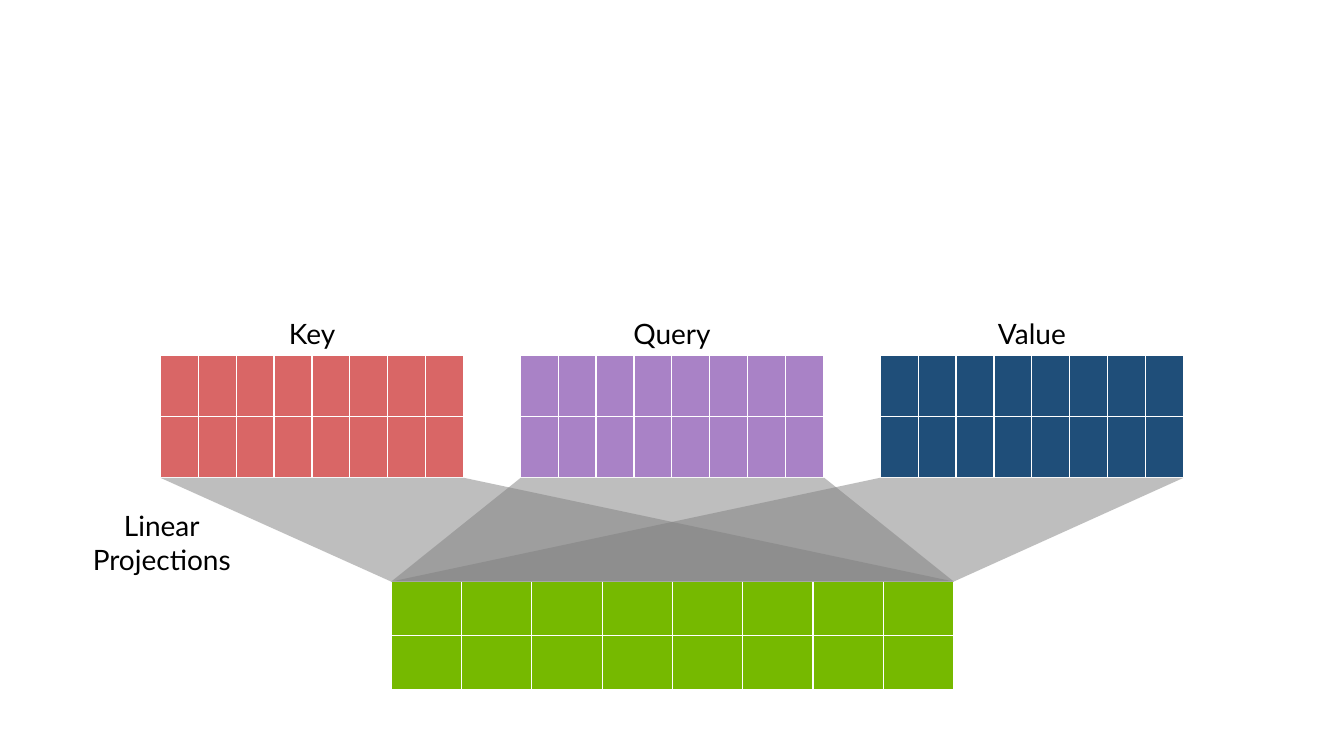
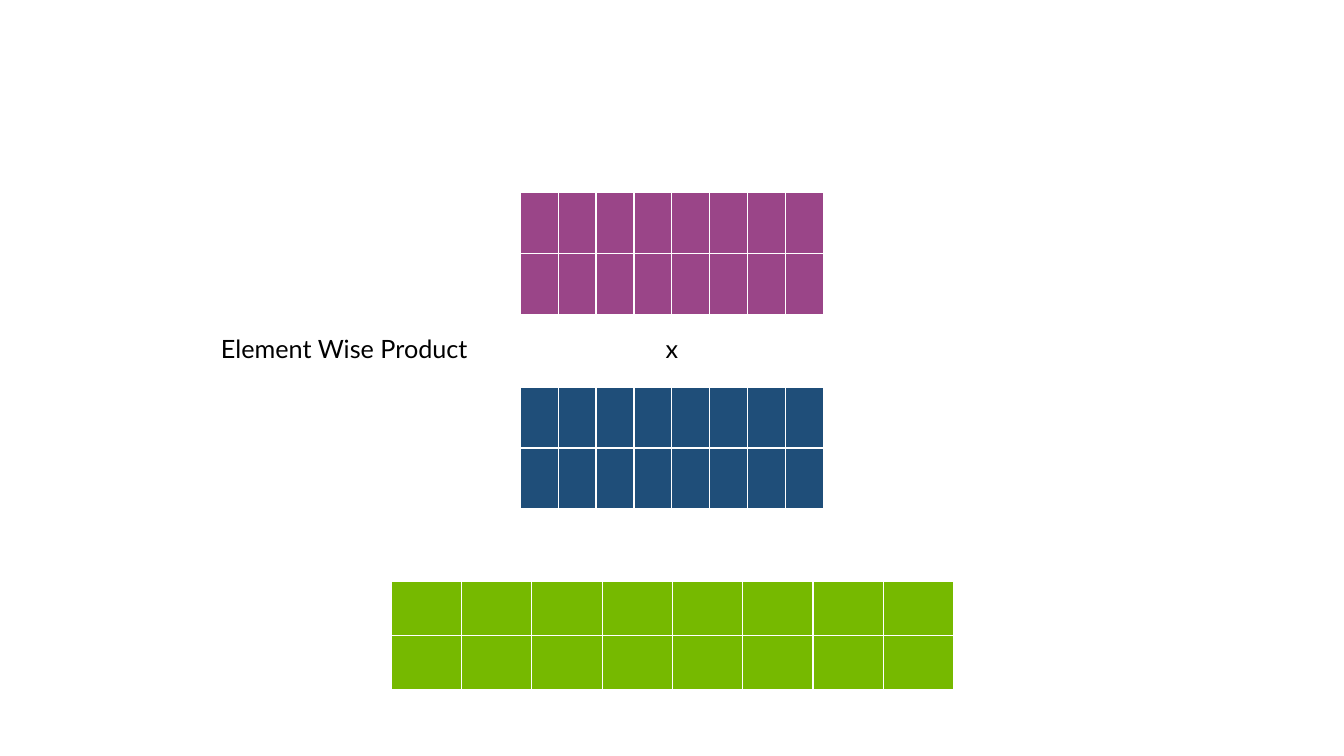
import dataclasses
from typing import Any

import lxml.etree
import pptx
import pptx.dml.color
import pptx.enum.shapes
import pptx.enum.text
import pptx.oxml.ns
import pptx.util

Inches = pptx.util.Inches
RGBColor = pptx.dml.color.RGBColor
qn = pptx.oxml.ns.qn

# Shared style
WHITE = RGBColor(0xFF, 0xFF, 0xFF)
BLACK = RGBColor(0x00, 0x00, 0x00)
GREEN = RGBColor(0x76, 0xB9, 0x00)
RED = RGBColor(0xC0, 0x00, 0x00)
PURPLE = RGBColor(0x70, 0x30, 0xA0)
NAVY = RGBColor(0x1F, 0x4E, 0x79)
GRAY = RGBColor(0x7F, 0x7F, 0x7F)
FONT = "Lato"
ROWS, COLUMNS = 2, 8
SOFT, HALF, SOLID = 60, 50, 100


@dataclasses.dataclass(frozen=True)
class Matrix:
    """A grid of equal cells; lengths in inches, opacity in percent."""
    left: float
    top: float
    color: RGBColor
    opacity: int = SOLID
    width: float = 3.01
    height: float = 1.21

    @property
    def right(self) -> float:
        return self.left + self.width

    @property
    def bottom(self) -> float:
        return self.top + self.height


@dataclasses.dataclass(frozen=True)
class Label:
    lines: tuple[str, ...]
    left: float
    top: float
    width: float
    height: float
    size: int
    wrap: bool = True


# Layout
MIDDLE_LEFT, COLUMN_STEP = 5.16, 3.57
PROJECTED_TOP = 3.53
LABEL_HEIGHT = 0.44
INPUT = Matrix(3.88, 5.77, GREEN, width=5.58, height=1.07)
KEY = Matrix(MIDDLE_LEFT - COLUMN_STEP, PROJECTED_TOP, RED, SOFT)
QUERY = Matrix(MIDDLE_LEFT, PROJECTED_TOP, PURPLE, SOFT)
VALUE = Matrix(MIDDLE_LEFT + COLUMN_STEP, PROJECTED_TOP, NAVY)
PROJECTIONS = {"Key": KEY, "Query": QUERY, "Value": VALUE}


def fill_with(fill: Any, properties: Any, color: RGBColor, opacity: int) -> None:
    fill.solid()
    fill.fore_color.rgb = color
    if opacity < 100:
        value = properties.find(qn("a:solidFill")).find(qn("a:srgbClr"))
        lxml.etree.SubElement(value, qn("a:alpha"), val=str(opacity * 1000))


def add_borders(properties: Any) -> None:
    for side in ("a:lnL", "a:lnR", "a:lnT", "a:lnB"):
        line = lxml.etree.SubElement(properties, qn(side), w=str(pptx.util.Pt(1)))
        solid = lxml.etree.SubElement(line, qn("a:solidFill"))
        lxml.etree.SubElement(solid, qn("a:srgbClr"), val=str(WHITE))


def draw_matrix(page: Any, matrix: Matrix) -> None:
    table = page.shapes.add_table(
        ROWS, COLUMNS, Inches(matrix.left), Inches(matrix.top),
        Inches(matrix.width), Inches(matrix.height)).table
    table.first_row = False
    table.horz_banding = False
    for column in table.columns:
        column.width = Inches(matrix.width / COLUMNS)
    for row in table.rows:
        row.height = Inches(matrix.height / ROWS)
    for cell in table.iter_cells():
        properties = cell._tc.get_or_add_tcPr()
        add_borders(properties)
        fill_with(cell.fill, properties, matrix.color, matrix.opacity)


def draw_label(page: Any, label: Label) -> None:
    box = page.shapes.add_textbox(
        Inches(label.left), Inches(label.top),
        Inches(label.width), Inches(label.height))
    frame = box.text_frame
    frame.word_wrap = label.wrap
    frame.auto_size = pptx.enum.text.MSO_AUTO_SIZE.SHAPE_TO_FIT_TEXT
    for index, line in enumerate(label.lines):
        para = frame.add_paragraph() if index else frame.paragraphs[0]
        para.alignment = pptx.enum.text.PP_ALIGN.CENTER
        span = para.add_run()
        span.text = line
        span.font.name = FONT
        span.font.size = pptx.util.Pt(label.size)
        span.font.color.rgb = BLACK


def style_beam(beam: Any) -> None:
    beam.shadow.inherit = False
    beam.line.fill.background()
    fill_with(beam.fill, beam._element.spPr, GRAY, HALF)


def draw_straight_beam(page: Any, source: Matrix, target: Matrix) -> None:
    height = source.top - target.bottom
    beam = page.shapes.add_shape(
        pptx.enum.shapes.MSO_SHAPE.TRAPEZOID,
        Inches(source.left), Inches(target.bottom),
        Inches(source.width), Inches(height))
    beam.adjustments[0] = (source.width - target.width) / 2 / height
    style_beam(beam)


def draw_slanted_beam(page: Any, source: Matrix, target: Matrix) -> None:
    corners = [(Inches(x), Inches(y)) for x, y in (
        (target.left, target.bottom), (source.left, source.top),
        (source.right, source.top), (target.right, target.bottom))]
    builder = page.shapes.build_freeform(*corners[0])
    builder.add_line_segments(corners[1:], close=True)
    style_beam(builder.convert_to_shape())


def draw_projection_page(page: Any) -> None:
    # Input and its three projections
    for matrix in (INPUT, *PROJECTIONS.values()):
        draw_matrix(page, matrix)
    for name, matrix in PROJECTIONS.items():
        draw_label(page, Label((name,), matrix.left, matrix.top - LABEL_HEIGHT,
                               matrix.width, LABEL_HEIGHT, 20))
    # Beams from the input to each projection
    draw_straight_beam(page, INPUT, QUERY)
    for target in (VALUE, KEY):
        draw_slanted_beam(page, INPUT, target)
    draw_label(page, Label(("Linear", "Projections"), 0.57, 5, 2.07, 0.77, 20))


def draw_product_page(page: Any) -> None:
    # Key and query overlap above the value
    draw_matrix(page, INPUT)
    for matrix, top in ((KEY, 1.91), (QUERY, 1.91), (VALUE, 3.84)):
        draw_matrix(page, dataclasses.replace(matrix, left=MIDDLE_LEFT, top=top))
    # Operator and its name
    draw_label(page, Label(("x",), 6.5, 3.26, 0.33, 0.4, 18, wrap=False))
    draw_label(page, Label(("Element Wise Product",), 2.05, 3.26, 2.73, 0.4, 18,
                           wrap=False))


def main() -> None:
    deck = pptx.Presentation()
    deck.slide_width = Inches(13.33)
    deck.slide_height = Inches(7.5)
    blank = deck.slide_layouts[6]
    for draw_page in (draw_projection_page, draw_product_page):
        draw_page(deck.slides.add_slide(blank))
    deck.save("out.pptx")


if __name__ == "__main__":
    main()
